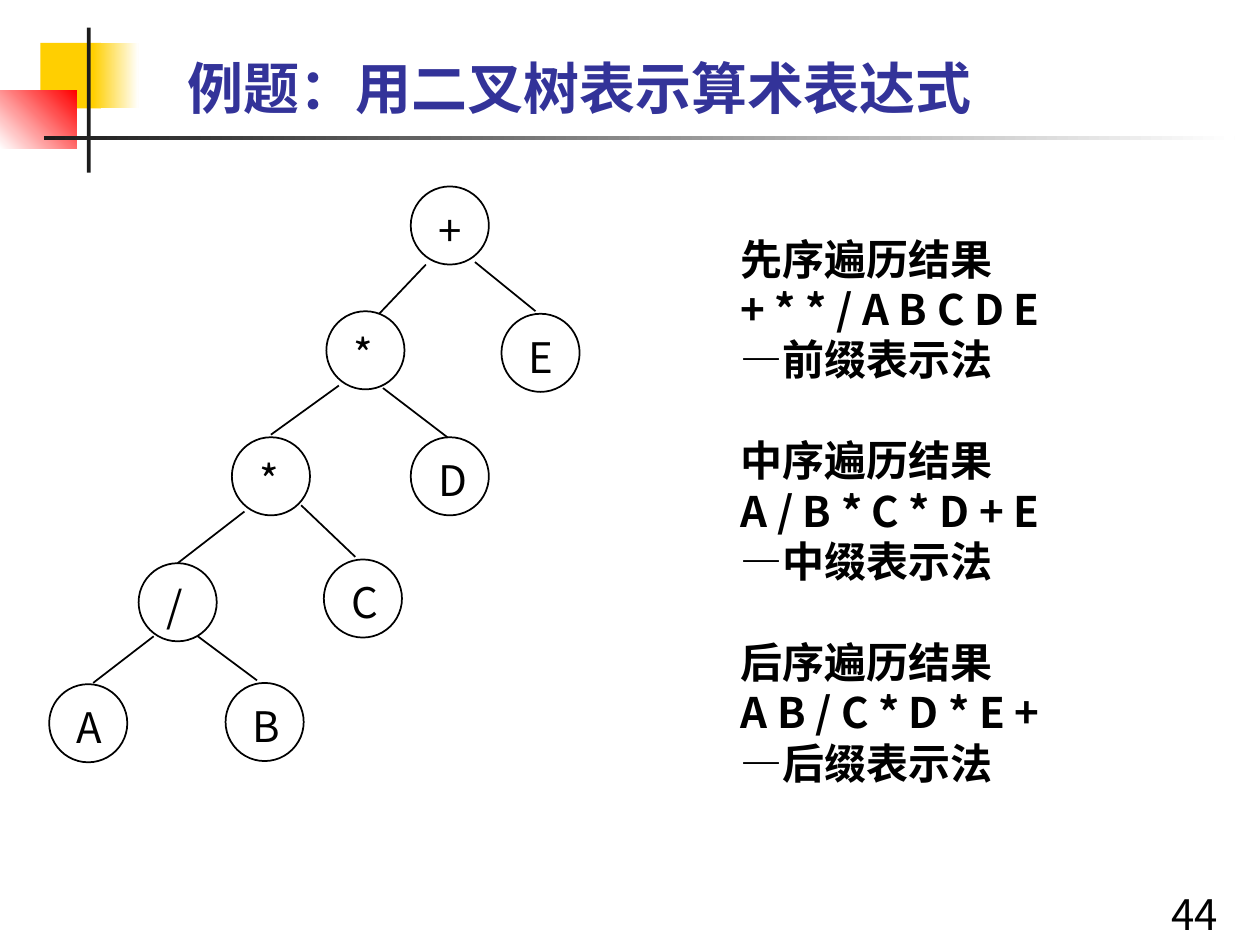
import pptx
import pptx.util
import pptx.dml.color
import pptx.enum.shapes
import pptx.enum.text
import pptx.oxml.ns
from lxml import etree

Inches = pptx.util.Inches
Pt = pptx.util.Pt
MSO_SHAPE = pptx.enum.shapes.MSO_SHAPE

FONT = "Noto Sans CJK SC"
LINE_RATIO = 1.2
COLORS = {
    "black": "000000",
    "white": "FFFFFF",
    "title": "333399",
    "yellow": "FFCF01",
    "red": "FF0000",
    "bar": "1C1C1C",
}

NODE_SIZE = 0.62
NODES = [
    ("+", 2.87, 0), ("*", 2.2, 0.99), ("E", 3.59, 1.01),
    ("*", 1.45, 1.99), ("D", 2.87, 1.99), ("/", 0.71, 2.99),
    ("C", 2.18, 2.96), ("A", 0, 3.95), ("B", 1.4, 3.94),
]
BRANCHES = [
    (2.99, 0.62, 2.62, 1.01), (3.38, 0.6, 3.86, 0.99),
    (2.3, 1.58, 1.76, 1.97), (2.65, 1.6, 3.16, 1.99),
    (1.55, 2.58, 1.02, 2.99), (2, 2.53, 2.43, 2.94),
    (0.83, 3.57, 0.35, 3.94), (1.18, 3.57, 1.65, 3.92),
]
TRAVERSALS = [
    ("先序遍历结果", "+ * * / A B C D E", "—前缀表示法"),
    ("中序遍历结果", "A / B * C * D + E", "—中缀表示法"),
    ("后序遍历结果", "A B / C * D * E +", "—后缀表示法"),
]


def rgb(name):
    """Return the named colour."""
    return pptx.dml.color.RGBColor.from_string(COLORS[name])


def style(paragraph, size=24, color="black", bold=False):
    """Set the font and line pitch of a paragraph."""
    paragraph.line_spacing = Pt(size * LINE_RATIO)
    font = paragraph.font
    font.name, font.size, font.bold = FONT, Pt(size), bold
    font.color.rgb = rgb(color)
    qn = pptx.oxml.ns.qn
    defaults = paragraph._p.pPr.find(qn("a:defRPr"))
    etree.SubElement(defaults, qn("a:ea")).set("typeface", FONT)


def add_text(shapes, box, text, **font):
    """Add a one-paragraph text box and return its frame."""
    frame = shapes.add_textbox(*map(Inches, box)).text_frame
    frame.word_wrap = True
    frame.text = text
    style(frame.paragraphs[0], **font)
    return frame


def add_block(slide, box, colors, angle=0):
    """Add a borderless rectangle in one colour or a gradient of two."""
    block = slide.shapes.add_shape(MSO_SHAPE.RECTANGLE, *map(Inches, box))
    block.shadow.inherit = False
    block.line.fill.background()
    if len(colors) == 1:
        block.fill.solid()
        block.fill.fore_color.rgb = rgb(colors[0])
        return
    block.fill.gradient()
    block.fill.gradient_angle = angle
    for stop, color, position in zip(block.fill.gradient_stops, colors, (0, 1)):
        stop.color.rgb = rgb(color)
        stop.position = position


def add_ornament(slide, left, top):
    """Draw the coloured blocks and crossing bars of the header."""
    for x, y, width, height, colors, angle in [
        (0.32, 0.12, 0.48, 0.52, ["yellow"], 0),
        (0.74, 0.12, 0.36, 0.52, ["yellow", "white"], 0),
        (0, 0.5, 0.61, 0.46, ["white", "red"], 45),
        (0.69, 0, 0.03, 1.15, ["bar"], 0),
        (0.35, 0.86, 9.45, 0.03, ["bar", "white"], 0),
    ]:
        add_block(slide, (left + x, top + y, width, height), colors, angle)


def add_title(slide, box):
    """Write the slide title at the bottom of its box."""
    frame = add_text(slide.shapes, box, "例题：用二叉树表示算术表达式",
                     size=32, color="title", bold=True)
    frame.vertical_anchor = pptx.enum.text.MSO_ANCHOR.BOTTOM
    frame.margin_bottom = 0
    frame.paragraphs[0].alignment = pptx.enum.text.PP_ALIGN.CENTER


def add_node(shapes, left, top, symbol):
    """Draw one tree node with its symbol."""
    circle = shapes.add_shape(MSO_SHAPE.OVAL, Inches(left), Inches(top),
                              Inches(NODE_SIZE), Inches(NODE_SIZE))
    circle.shadow.inherit = False
    circle.fill.background()
    circle.line.color.rgb = rgb("black")
    circle.line.width = Pt(1)
    add_text(shapes, (left + 0.12, top + 0.09, 0.37, 0.51), symbol)


def add_branch(shapes, x1, y1, x2, y2):
    """Draw a line from a parent node to a child."""
    branch = shapes.add_connector(pptx.enum.shapes.MSO_CONNECTOR.STRAIGHT,
                                  *map(Inches, (x1, y1, x2, y2)))
    branch.line.color.rgb = rgb("black")
    branch.line.width = Pt(1)
    etree.SubElement(branch._element.spPr, pptx.oxml.ns.qn("a:effectLst"))


def add_tree(slide, left, top):
    """Draw the expression tree as one group."""
    shapes = slide.shapes.add_group_shape().shapes
    for symbol, x, y in NODES:
        add_node(shapes, left + x, top + y, symbol)
    for x1, y1, x2, y2 in BRANCHES:
        add_branch(shapes, left + x1, top + y1, left + x2, top + y2)


def add_traversals(slide, box):
    """List the three traversal results with a line between them."""
    frame = slide.shapes.add_textbox(*map(Inches, box)).text_frame
    frame.word_wrap = True
    for index, traversal in enumerate(TRAVERSALS):
        for row, text in enumerate(traversal):
            first = index == row == 0
            paragraph = frame.paragraphs[0] if first else frame.add_paragraph()
            paragraph.text = text
            style(paragraph, bold=True)
            if row == 0 and index:
                paragraph.space_before = Pt(24 * LINE_RATIO)


def main():
    """Build and save the slide."""
    deck = pptx.Presentation()
    deck.slide_width, deck.slide_height = Inches(10), Inches(7.5)
    slide = deck.slides.add_slide(deck.slide_layouts[6])
    add_ornament(slide, 0, 0.22)
    add_text(slide.shapes, (9.2, 7, 0.8, 0.5), "44")
    add_tree(slide, 0.39, 1.48)
    add_traversals(slide, (5.78, 1.8, 3.09, 4.95))
    add_title(slide, (0.21, 0.21, 8.79, 0.75))
    deck.save("out.pptx")


if __name__ == "__main__":
    main()
